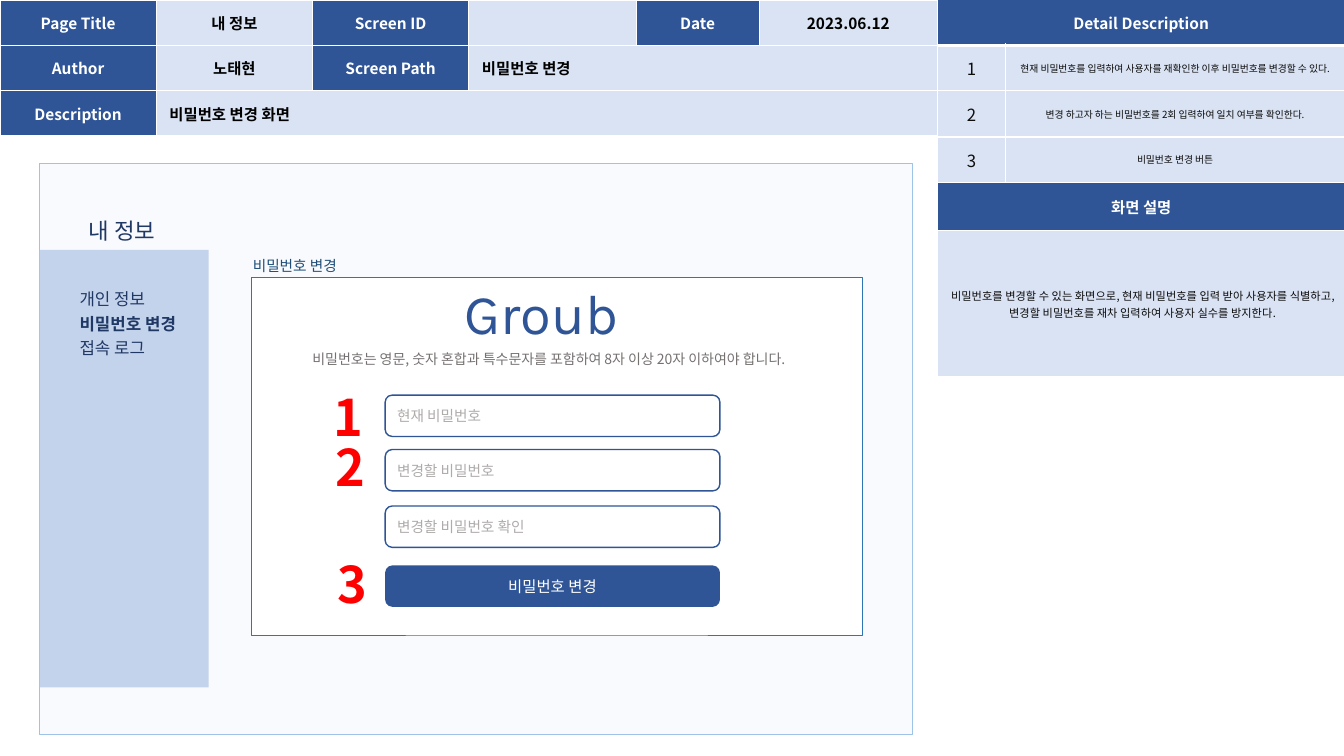
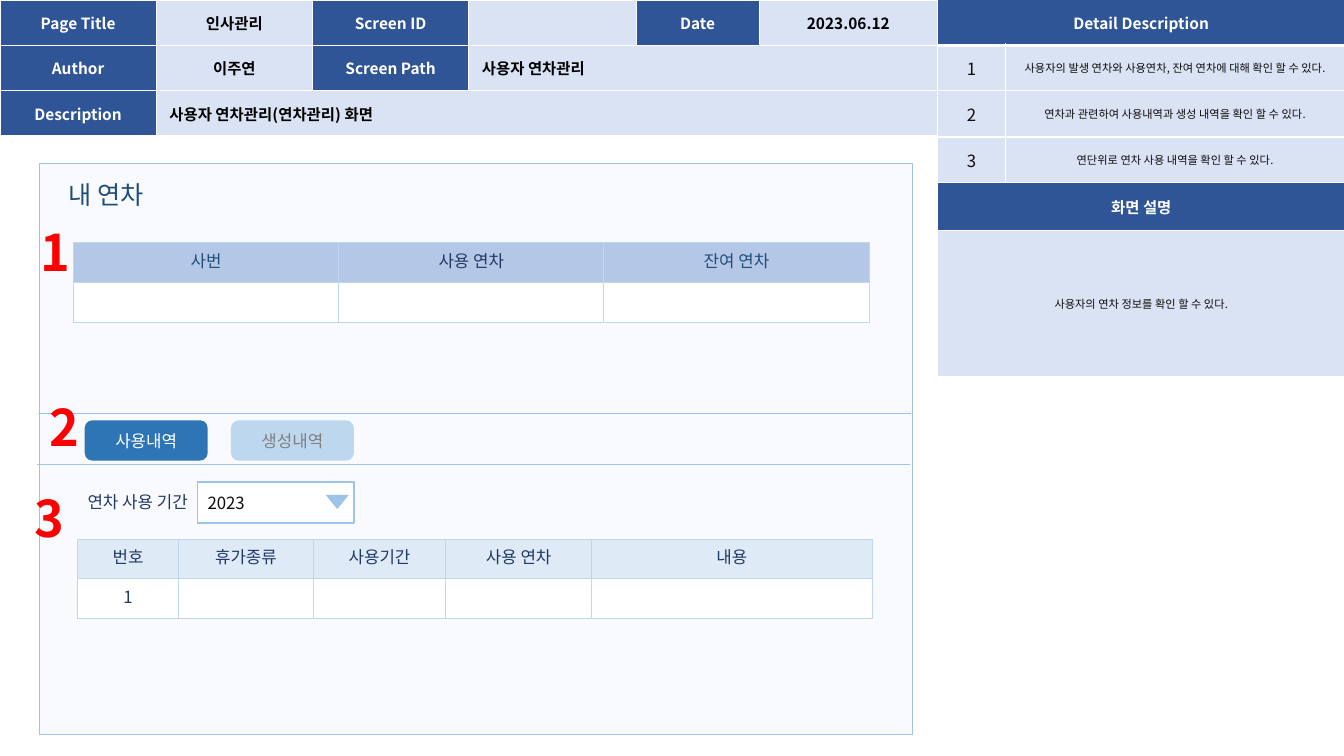
import dataclasses
import typing

import lxml.etree
import pptx
import pptx.dml.color
import pptx.enum.shapes
import pptx.enum.text
import pptx.oxml.ns
import pptx.util

EMU_PER_PX = 9144  # 100 px to the inch
FONT = "Noto Sans CJK KR"
NAVY, INK, DEEP_BLUE, BLUE = "2F5597", "203864", "1F4E79", "2E75B6"
PALE, PERIWINKLE, SKY, ICE, MIST = "DAE3F3", "B4C7E7", "9DC3E6", "BDD7EE", "DEEBF7"
WHITE, BLACK, NEAR_BLACK, RED = "FFFFFF", "000000", "0D0D0D", "FF0000"
HINT, GRAY, BUTTON_GRAY = "AFABAB", "767171", "808080"

SHAPE = pptx.enum.shapes.MSO_SHAPE
ANCHOR = pptx.enum.text.MSO_ANCHOR
LEFT, CENTER = pptx.enum.text.PP_ALIGN.LEFT, pptx.enum.text.PP_ALIGN.CENTER


@dataclasses.dataclass
class Cell:
    text: str = ""
    fill: str = WHITE
    color: str = INK
    size: float = 12
    bold: bool = False
    align: typing.Any = CENTER
    anchor: typing.Any = ANCHOR.TOP
    margins: tuple = (10, 5)
    columns: int = 1
    bottom_border: float = 0


def px(length):
    return pptx.util.Emu(length * EMU_PER_PX)


def box(*lengths):
    return [px(length) for length in lengths]


def rgb(color):
    return pptx.dml.color.RGBColor.from_string(color)


def add_element(parent, tag, **attributes):
    return lxml.etree.SubElement(parent, pptx.oxml.ns.qn(tag), **attributes)


def paint(fill, color):
    fill.solid()
    fill.fore_color.rgb = rgb(color)


def add_run(paragraph, text, size, color, bold=False, font=FONT):
    run = paragraph.add_run()
    run.text = text
    run.font.size = pptx.util.Pt(size)
    run.font.bold = bold
    run.font.color.rgb = rgb(color)
    run.font.name = font
    add_element(run.font._element, "a:ea", typeface=font)


def add_label(slide, bounds, text, size, color, bold=False, font=FONT):
    label = slide.shapes.add_textbox(*box(*bounds))
    label.text_frame.word_wrap = True
    add_run(label.text_frame.paragraphs[0], text, size, color, bold, font)


def add_badge(slide, left, top, number):
    add_label(slide, (left, top, 64, 71), number, 36, RED, True)


def add_block(slide, kind, bounds, fill, line=None, line_width=1):
    block = slide.shapes.add_shape(kind, *box(*bounds))
    block.shadow.inherit = False
    paint(block.fill, fill)
    if line:
        block.line.color.rgb = rgb(line)
        block.line.width = pptx.util.Pt(line_width)
    else:
        block.line.fill.background()
    return block


def write_in_block(block, text, size, color, align=CENTER):
    frame = block.text_frame
    frame.word_wrap = True
    frame.vertical_anchor = ANCHOR.MIDDLE
    frame.paragraphs[0].alignment = align
    add_run(frame.paragraphs[0], text, size, color)


def add_rounded(slide, bounds, fill, text, size, color, align=CENTER, line=None, radius=0.17):
    rounded = add_block(slide, SHAPE.ROUNDED_RECTANGLE, bounds, fill, line)
    rounded.adjustments[0] = radius
    write_in_block(rounded, text, size, color, align)


def add_rule(slide, left, right, y):
    rule = slide.shapes.add_connector(
        pptx.enum.shapes.MSO_CONNECTOR.STRAIGHT, *box(left, y, right, y))
    rule.line.color.rgb = rgb(SKY)
    rule.line.width = pptx.util.Pt(0.5)
    add_element(rule._element.spPr, "a:effectLst")


def set_borders(table_cell, color, width, bottom_width):
    """Add the four cell borders; they must come before the cell's fill."""
    properties = table_cell._tc.get_or_add_tcPr()
    for side in "LRTB":
        points = bottom_width if side == "B" else width
        border = add_element(properties, f"a:ln{side}", w=str(pptx.util.Pt(points)))
        add_element(add_element(border, "a:solidFill"), "a:srgbClr", val=color)


def fill_cell(table_cell, cell, border, border_width):
    set_borders(table_cell, border, border_width, cell.bottom_border or border_width)
    paint(table_cell.fill, cell.fill)
    side, edge = box(*cell.margins)
    table_cell.margin_left = table_cell.margin_right = side
    table_cell.margin_top = table_cell.margin_bottom = edge
    table_cell.vertical_anchor = cell.anchor
    paragraph = table_cell.text_frame.paragraphs[0]
    paragraph.alignment = cell.align
    if cell.text:
        add_run(paragraph, cell.text, cell.size, cell.color, cell.bold)
    else:
        paragraph._p.get_or_add_endParaRPr().set("sz", str(int(cell.size * 100)))


def add_grid(slide, left, top, widths, heights, rows, border, border_width):
    """Draw rows of Cell; a cell over several columns stands once in its row."""
    frame = slide.shapes.add_table(
        len(heights), len(widths), *box(left, top, sum(widths), sum(heights)))
    table = frame.table
    table.first_row = table.horz_banding = False
    for column, width in zip(table.columns, widths):
        column.width = px(width)
    for row_index, cells in enumerate(rows):
        table.rows[row_index].height = px(heights[row_index])
        column_index = 0
        for cell in cells:
            start = table.cell(row_index, column_index)
            fill_cell(start, cell, border, border_width)
            column_index += cell.columns
            if cell.columns > 1:
                for covered in range(column_index - cell.columns + 1, column_index):
                    blank = dataclasses.replace(cell, text="")
                    fill_cell(table.cell(row_index, covered), blank, border, border_width)
                start.merge(table.cell(row_index, column_index - 1))


def sheet_cell(text, **options):
    settings = dict(fill=PALE, color=BLACK, size=11, bold=True,
                    anchor=ANCHOR.MIDDLE, margins=(13, 5))
    return Cell(text, **{**settings, **options})


def heading_cell(text, **options):
    return sheet_cell(text, fill=NAVY, color=WHITE, **options)


def add_sheet_header(slide, title, author, screen_path, description):
    rows = [
        [heading_cell("Page Title"), sheet_cell(title), heading_cell("Screen ID"),
         sheet_cell(""), heading_cell("Date"), sheet_cell("2023.06.12")],
        [heading_cell("Author"), sheet_cell(author), heading_cell("Screen Path"),
         sheet_cell(screen_path, align=LEFT, columns=3)],
        [heading_cell("Description"), sheet_cell(description, align=LEFT, columns=5)],
    ]
    add_grid(slide, 0, 0, [155, 155, 155, 166, 122, 177], [45] * 3, rows, WHITE, 1)


def add_detail_panel(slide, details, detail_size, summary):
    plain = dict(color=NEAR_BLACK, bold=False)
    rows = [[heading_cell("Detail Description", columns=2, bottom_border=3)]]
    for number, detail in enumerate(details, 1):
        rows.append([sheet_cell(str(number), size=12, **plain),
                     sheet_cell(detail, size=detail_size, margins=(10, 4), **plain)])
    rows.append([heading_cell("화면 설명", columns=2)])
    rows.append([sheet_cell(summary, size=8, columns=2, **plain)])
    add_grid(slide, 930, -1, [67, 337], [46, 45, 46, 45, 48, 145], rows, WHITE, 1)


def add_sheet(presentation, header, details, detail_size, summary):
    """Add a slide with the parts that every screen sheet shares."""
    slide = presentation.slides.add_slide(presentation.slide_layouts[6])
    add_sheet_header(slide, *header)
    add_detail_panel(slide, details, detail_size, summary)
    add_block(slide, SHAPE.RECTANGLE, (39, 162, 866, 567), "F9FAFD", SKY, 0.5)
    return slide


def add_side_menu(slide, items, selected):
    panel = add_block(slide, SHAPE.RECTANGLE, (39, 248, 168, 434), PERIWINKLE)
    color = panel._element.spPr.find(".//" + pptx.oxml.ns.qn("a:srgbClr"))
    add_element(color, "a:alpha", val="76000")
    menu = slide.shapes.add_textbox(*box(69, 282, 258, 116)).text_frame
    menu.word_wrap = True
    for index, item in enumerate(items):
        paragraph = menu.add_paragraph() if index else menu.paragraphs[0]
        if index:
            paragraph.space_before = pptx.util.Pt(3)
        add_run(paragraph, item, 12, INK, item == selected)


def add_dropdown(slide, left, top, value):
    field = add_block(slide, SHAPE.RECTANGLE, (left, top, 155, 41), WHITE, SKY)
    write_in_block(field, value, 12, NEAR_BLACK, LEFT)
    arrow = add_block(slide, SHAPE.ISOSCELES_TRIANGLE, (left + 127, top + 13, 23, 14), SKY)
    arrow.rotation = 180


def build_password_screen(presentation):
    slide = add_sheet(
        presentation,
        ("내 정보", "노태현", "비밀번호 변경", "비밀번호 변경 화면"),
        ["현재 비밀번호를 입력하여 사용자를 재확인한 이후 비밀번호를 변경할 수 있다.",
         "변경 하고자 하는 비밀번호를 2회 입력하여 일치 여부를 확인한다.",
         "비밀번호 변경 버튼"], 7,
        "비밀번호를 변경할 수 있는 화면으로, 현재 비밀번호를 입력 받아 사용자를 식별하고, "
        "변경할 비밀번호를 재차 입력하여 사용자 실수를 방지한다.")
    add_label(slide, (78, 211, 327, 37), "내 정보", 16, INK)
    add_side_menu(slide, ["개인 정보", "비밀번호 변경", "접속 로그"], "비밀번호 변경")
    add_block(slide, SHAPE.RECTANGLE, (249, 275, 606, 355), WHITE, BLUE, 0.25)
    add_label(slide, (241, 250, 240, 29), "비밀번호 변경", 10.5, DEEP_BLUE)
    for top, hint in [(392, "현재 비밀번호"), (446, "변경할 비밀번호"),
                      (502, "변경할 비밀번호 확인")]:
        add_rounded(slide, (382, top, 332, 41), WHITE, hint, 10.5, HINT, LEFT, NAVY)
    add_rounded(slide, (382, 561, 332, 41), NAVY, "비밀번호 변경", 11, WHITE)
    add_label(slide, (300, 343, 519, 27),
              "비밀번호는 영문, 숫자 혼합과 특수문자를 포함하여 8자 이상 20자 이하여야 합니다.",
              10, GRAY)
    add_label(slide, (451, 271, 365, 77), "Groub", 40, NAVY, font="Karla")
    for left, top, number in [(321, 378, "1"), (323, 428, "2"), (325, 544, "3")]:
        add_badge(slide, left, top, number)


def build_leave_screen(presentation):
    slide = add_sheet(
        presentation,
        ("인사관리", "이주연", "사용자 연차관리", "사용자 연차관리(연차관리) 화면"),
        ["사용자의 발생 연차와 사용연차, 잔여 연차에 대해 확인 할 수 있다.",
         "연차과 관련하여 사용내역과 생성 내역을 확인 할 수 있다.",
         "연단위로 연차 사용 내역을 확인 할 수 있다."], 8,
        "사용자의 연차 정보를 확인 할 수 있다.")
    add_label(slide, (58, 173, 245, 40), "내 연차", 18, DEEP_BLUE)

    balance_heads = [("사번", DEEP_BLUE), ("사용 연차", INK), ("잔여 연차", DEEP_BLUE)]
    balance = [[Cell(text, PERIWINKLE, color) for text, color in balance_heads],
               [Cell() for _ in balance_heads]]
    add_grid(slide, 73, 241, [263] * 3, [39, 40], balance, ICE, 0.75)

    history_heads = ["번호", "휴가종류", "사용기간", "사용 연차", "내용"]
    history = [[Cell(text, MIST) for text in history_heads],
               [Cell(text) for text in ["1", "", "", "", ""]]]
    add_grid(slide, 77, 535, [100, 134, 131, 145, 278], [39, 40], history, ICE, 0.75)

    add_rule(slide, 38, 904, 410)
    add_rule(slide, 37, 903, 461)
    for left, fill, text, color in [(84, BLUE, "사용내역", WHITE),
                                    (229, ICE, "생성내역", BUTTON_GRAY)]:
        add_rounded(slide, (left, 417, 122, 40), fill, text, 12, color, radius=0.19)
    add_label(slide, (77, 483, 231, 30), "연차 사용 기간", 12, INK)
    add_dropdown(slide, 196, 478, "2023")
    for left, top, number in [(30, 214, "1"), (39, 388, "2"), (24, 478, "3")]:
        add_badge(slide, left, top, number)


def main():
    presentation = pptx.Presentation()
    presentation.slide_width, presentation.slide_height = box(1333, 750)
    build_password_screen(presentation)
    build_leave_screen(presentation)
    presentation.save("out.pptx")


if __name__ == "__main__":
    main()
